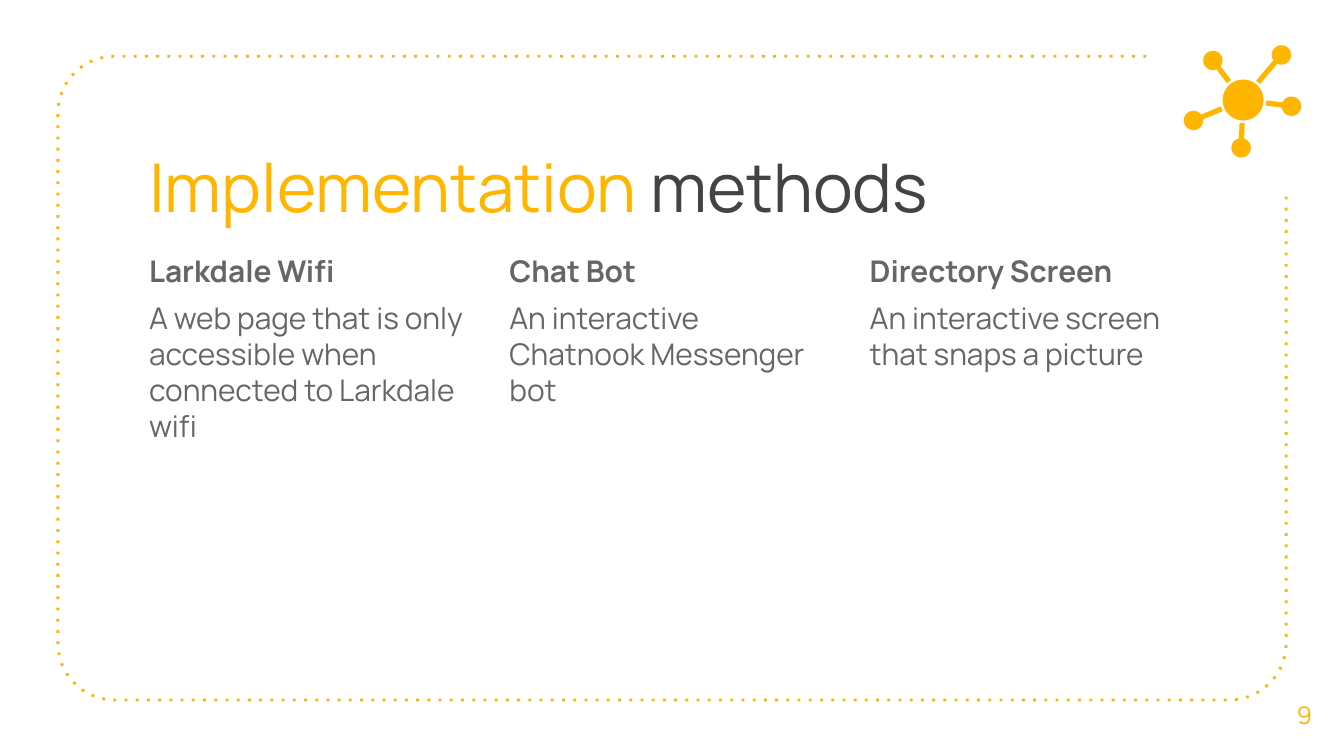
import math

from pptx import Presentation
from pptx import util as u
from pptx.dml import color
from pptx.enum import dml, shapes, text
from pptx.oxml import ns, xmlchemy

GOLD = color.RGBColor(0xFF, 0xB6, 0x00)
DARK = color.RGBColor(0x43, 0x43, 0x43)
GREY = color.RGBColor(0x66, 0x66, 0x66)
FONT = "Manrope"


def arc(x, y, r, start, end, steps=24):
    """Points on a circle, angles in radians, clockwise on screen."""
    turns = [start + (end - start) * i / steps for i in range(steps + 1)]
    return [(x + r * math.cos(t), y + r * math.sin(t)) for t in turns]


class Deck:
    """Holds the style and the current slide; lengths are in points."""

    def __init__(self, wide, high):
        self.prs = Presentation()
        self.prs.slide_width = u.Pt(wide)
        self.prs.slide_height = u.Pt(high)
        self.slide = self.prs.slides.add_slide(self.prs.slide_layouts[4])

    def place(self, box, left, top, wide, high, anchor=text.MSO_ANCHOR.TOP):
        box.left, box.top = u.Pt(left), u.Pt(top)
        box.width, box.height = u.Pt(wide), u.Pt(high)
        frame = box.text_frame
        frame.word_wrap = True
        frame.auto_size = text.MSO_AUTO_SIZE.NONE
        frame.vertical_anchor = anchor
        frame.margin_left = frame.margin_right = u.Pt(7.2)
        frame.margin_top = frame.margin_bottom = u.Pt(7.2)
        return frame

    def style(self, run, size, tint, bold=False):
        run.font.name = FONT
        run.font.size = u.Pt(size)
        run.font.bold = bold
        run.font.color.rgb = tint

    def title(self, parts, *area):
        para = self.place(self.slide.shapes.title, *area).paragraphs[0]
        para.alignment = text.PP_ALIGN.LEFT
        for words, tint in parts:
            run = para.add_run()
            run.text = words
            self.style(run, 36, tint)

    def column(self, index, head, body, *area):
        frame = self.place(self.slide.placeholders[index], *area)
        frame.text = head
        frame.add_paragraph().text = body
        for i, para in enumerate(frame.paragraphs):
            props = para._p.get_or_add_pPr()
            props.set("marL", "0")
            props.set("indent", "0")
            props.append(xmlchemy.OxmlElement("a:buNone"))
            para.alignment = text.PP_ALIGN.LEFT
            para.space_before = u.Pt(6 * i)
            self.style(para.runs[0], 16, GREY, bold=i == 0)

    def label(self, words, *area):
        box = self.slide.shapes.add_textbox(0, 0, 0, 0)
        frame = self.place(box, *area, anchor=text.MSO_ANCHOR.MIDDLE)
        frame.text = words
        para = frame.paragraphs[0]
        para.alignment = text.PP_ALIGN.CENTER
        self.style(para.runs[0], 13, GOLD)

    def outline(self, home, points, close):
        spots = [(u.Pt(x), u.Pt(y)) for x, y in points]
        pen = home.build_freeform(*spots[0])
        pen.add_line_segments(spots[1:], close=close)
        shape = pen.convert_to_shape()
        shape.shadow.inherit = False
        return shape

    def paint(self, shape):
        shape.shadow.inherit = False
        shape.fill.solid()
        shape.fill.fore_color.rgb = GOLD
        shape.line.fill.background()

    def border(self, points):
        shape = self.outline(self.slide.shapes, points, False)
        shape.fill.background()
        line = shape.line
        line.color.rgb = GOLD
        line.width = u.Pt(1.5)
        line.dash_style = dml.MSO_LINE.ROUND_DOT
        shape._element.spPr.find(".//" + ns.qn("a:prstDash")).set("val", "dot")

    def icon(self, hub, size, gap, dots, dot, half):
        """A hub with dots around it; each stem stops just short of the hub."""
        group = self.slide.shapes.add_group_shape().shapes
        hx, hy = hub
        for x, y in dots:
            turn = math.atan2(hy - y, hx - x)
            slit = math.asin(half / dot)
            cos, sin = math.cos(turn), math.sin(turn)
            ex, ey = hx - gap * cos, hy - gap * sin
            ends = [(ex - s * sin, ey + s * cos) for s in (-half, half)]
            rim = arc(x, y, dot, turn + slit, turn - slit + 2 * math.pi)
            self.paint(self.outline(group, rim + ends, True))
        self.paint(group.add_shape(
            shapes.MSO_SHAPE.OVAL, u.Pt(hx - size), u.Pt(hy - size),
            u.Pt(2 * size), u.Pt(2 * size)))


def main():
    deck = Deck(720, 405)

    # Dotted border, open at the top right corner
    left, top, right, low, r = 31, 30.2, 689, 375, 30.4
    pi = math.pi
    deck.border(
        [(614, top)]
        + arc(left + r, top + r, r, 1.5 * pi, pi)
        + arc(left + r, low - r, r, pi, 0.5 * pi)
        + arc(right - r, low - r, r, 0.5 * pi, 0)
        + [(right, 105)])

    # Title
    deck.title([("Implementation", GOLD), (" methods", DARK)],
               72.7, 70.6, 540.7, 67.7)

    # Three columns
    methods = [
        ("Larkdale Wifi", "A web page that is only accessible when "
                          "connected to Larkdale wifi"),
        ("Chat Bot", "An interactive Chatnook Messenger bot"),
        ("Directory Screen", "An interactive screen that snaps a picture"),
    ]
    for i, (head, body) in enumerate(methods):
        deck.column(i + 1, head, body, 72.7 + 193 * i, 128.2, 183.6, 233.3)
    spare = deck.slide.placeholders[4]._element
    spare.getparent().remove(spare)

    # Page number
    deck.label("9", 677.5, 361.5, 42.5, 43.2)

    # Network icon
    deck.icon((666, 53.6), 11, 12.4,
              [(686.5, 29.5), (649.8, 32.4), (639.4, 64.6),
               (664.9, 79.2), (691.9, 56.9)], 5.2, 1.4)

    deck.prs.save("out.pptx")


if __name__ == "__main__":
    main()
